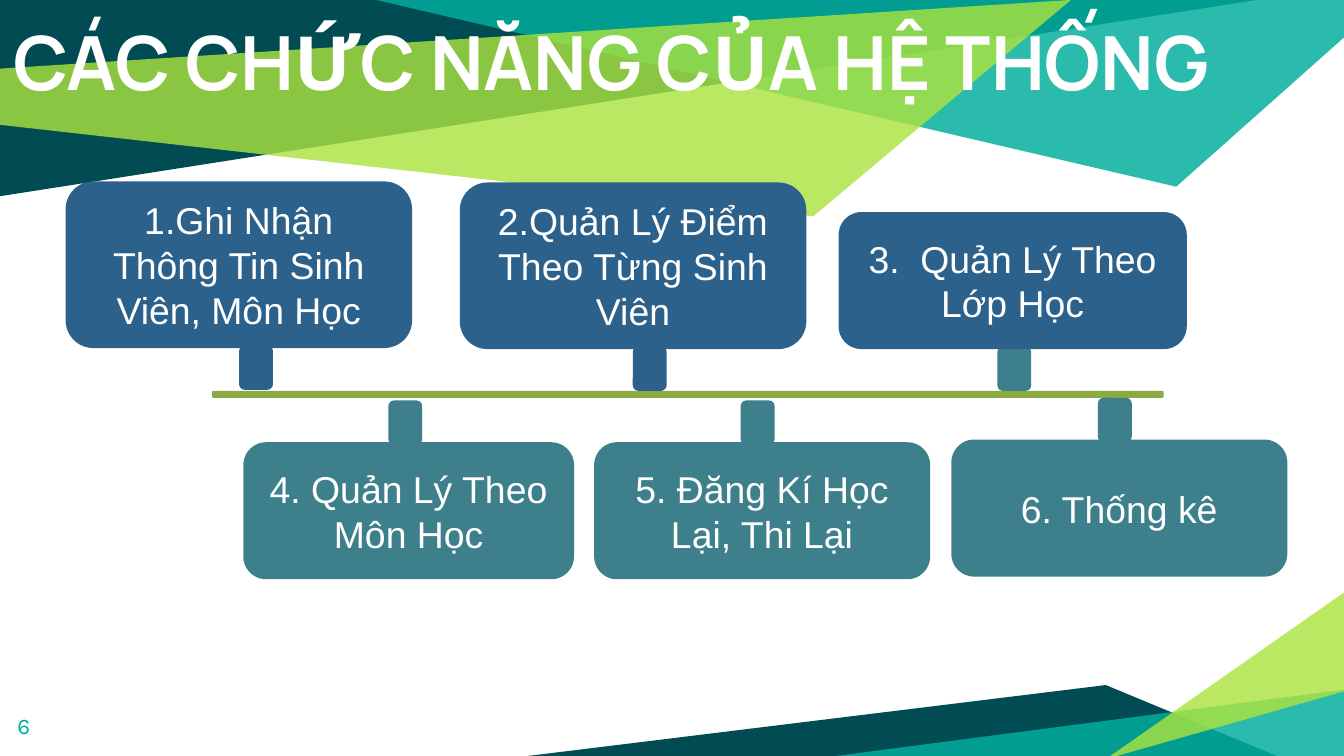
from lxml import etree
from pptx import Presentation
from pptx.dml.color import RGBColor
from pptx.enum.shapes import MSO_SHAPE
from pptx.enum.text import MSO_ANCHOR, PP_ALIGN
from pptx.oxml.ns import qn
from pptx.util import Cm, Pt

ROUNDED = MSO_SHAPE.ROUNDED_RECTANGLE
MIDDLE = MSO_ANCHOR.MIDDLE
CENTER = PP_ALIGN.CENTER

COLORS = {
    "dark": "004C52",
    "teal": "00AE9D",
    "lime": "ABE33F",
    "axis": "8BAB42",
    "blue": "2B618B",
    "sea": "3D808C",
    "white": "FFFFFF",
}


def paint(shape, color, opacity=100):
    """Give the shape a flat fill, with no line or shadow."""
    shape.shadow.inherit = False
    shape.line.fill.background()
    shape.fill.solid()
    shape.fill.fore_color.rgb = RGBColor.from_string(COLORS[color])
    if opacity < 100:
        srgb = shape.fill._xPr.find(qn("a:solidFill"))[0]
        etree.SubElement(srgb, qn("a:alpha")).set("val", str(opacity * 1000))


def add_rounded(left, top, width, height, color):
    shape = page.shapes.add_shape(ROUNDED, Cm(left), Cm(top), Cm(width), Cm(height))
    paint(shape, color)
    return shape


deck = Presentation()
deck.slide_width, deck.slide_height = Cm(25.4), Cm(14.29)
page = deck.slides.add_slide(deck.slide_layouts[6])

# Decorative facets: colour, opacity, corner points in cm
facets = [
    ("dark", 100, [(0, 0), (0, 3.71), (23.75, 0)]),
    ("teal", 83, [(7.11, 0), (22.23, 3.53), (25.4, 0.71), (25.4, 0)]),
    ("lime", 81, [(-0.03, 1.3), (0, 2.36), (15.37, 4.09), (20.24, 0)]),
    ("dark", 100, [(9.98, 14.29), (24.13, 14.29), (20.9, 12.95)]),
    ("teal", 83, [(25.45, 13.03), (25.45, 14.35), (15.34, 14.35)]),
    ("lime", 81, [(25.43, 13.06), (25.43, 11.18), (20.9, 14.35)]),
]
for color, opacity, points in facets:
    corners = [(Cm(x), Cm(y)) for x, y in points]
    outline = page.shapes.build_freeform(*corners[0])
    outline.add_line_segments(corners[1:], close=True)
    paint(outline.convert_to_shape(), color, opacity)

# Title and page number: position, size, colour, bold, runs with fonts
labels = [
    ((0, -0.05, 25.2, 2.39), 40, "white", True,
     [("CÁC CH", "Manrope"), ("Ứ", "Karla"), ("C NĂNG C", "Manrope"),
      ("Ủ", "Karla"), ("A HỆ THỐNG", "Manrope")]),
    ((0.08, 13.18, 1.52, 1.09), 12, "teal", False, [("6", "Karla")]),
]
for place, size, color, bold, spans in labels:
    frame = page.shapes.add_textbox(*map(Cm, place)).text_frame
    frame.word_wrap = True
    frame.vertical_anchor = MIDDLE
    frame.margin_left = frame.margin_right = Cm(0.25)
    frame.margin_top = frame.margin_bottom = Cm(0.25)
    para = frame.paragraphs[0]
    para.font.size = Pt(size)
    para.font.bold = bold
    para.font.color.rgb = RGBColor.from_string(COLORS[color])
    for text, font in spans:
        span = para.add_run()
        span.text = text
        span.font.name = font

# Timeline
add_rounded(4.01, 7.39, 17.98, 0.13, "axis")

# Functions: text, left, top, width, height, box colour, stem colour, stem left
functions = [
    ("1.Ghi Nhận Thông Tin Sinh Viên, Môn Học",
     1.24, 3.43, 6.55, 3.15, "blue", "blue", 4.52),
    ("2.Quản Lý Điểm Theo Từng Sinh Viên",
     8.69, 3.45, 6.55, 3.15, "blue", "blue", 11.96),
    ("3.  Quản Lý Theo Lớp Học",
     15.85, 4.01, 6.58, 2.59, "blue", "sea", 18.85),
    ("4. Quản Lý Theo Môn Học",
     4.6, 8.36, 6.25, 2.59, "sea", "sea", 7.34),
    ("5. Đăng Kí Học Lại, Thi Lại",
     11.23, 8.36, 6.35, 2.59, "sea", "sea", 14),
    ("6. Thống kê",
     17.98, 8.31, 6.35, 2.59, "sea", "sea", 20.75),
]
STEM_WIDTH, STEM_HEIGHT, OVERLAP = 0.64, 0.84, 0.05
for text, left, top, width, height, color, stem_color, stem_left in functions:
    above_axis = color == "blue"
    stem_top = top + height - OVERLAP if above_axis else top - STEM_HEIGHT + OVERLAP
    add_rounded(stem_left, stem_top, STEM_WIDTH, STEM_HEIGHT, stem_color)
    box = add_rounded(left, top, width, height, color)
    frame = box.text_frame
    frame.word_wrap = True
    frame.vertical_anchor = MIDDLE
    frame.margin_left = frame.margin_right = Cm(0.3)
    para = frame.paragraphs[0]
    para.text = text
    para.alignment = CENTER
    para.font.name = "Arial"
    para.font.size = Pt(20)
    para.font.color.rgb = RGBColor.from_string(COLORS["white"])

deck.save("out.pptx")
